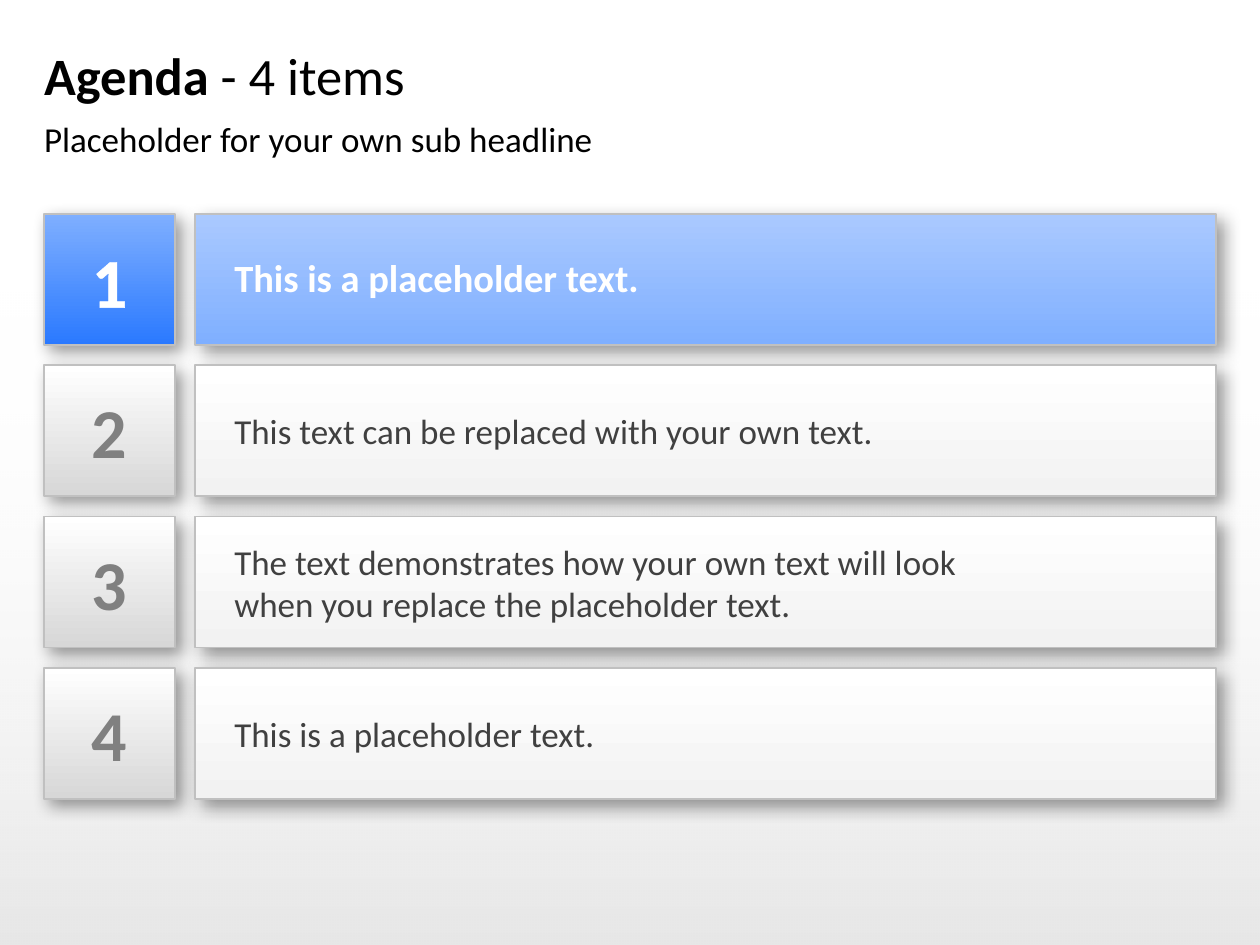
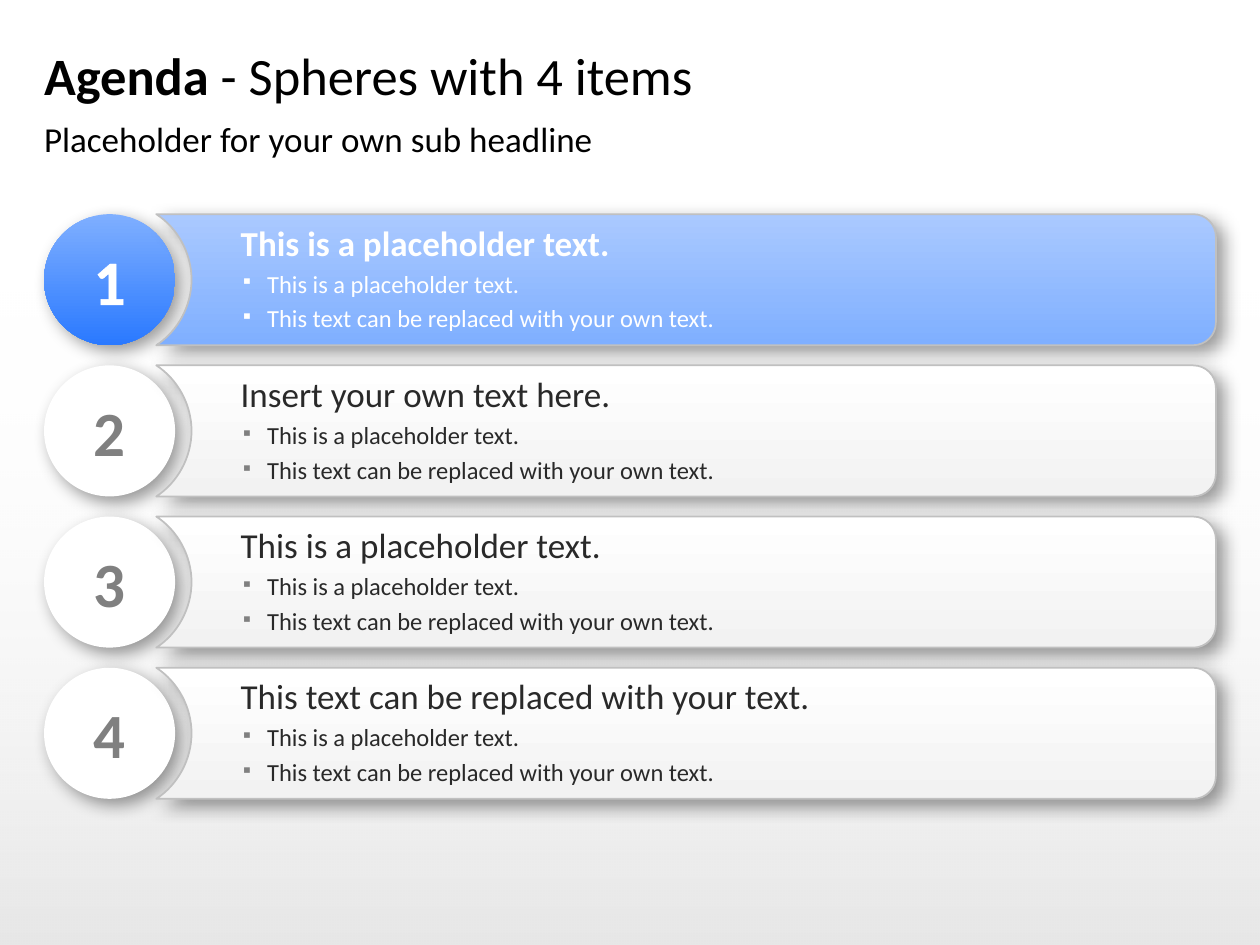
from lxml import etree
from pptx import Presentation
from pptx.dml.color import RGBColor
from pptx.enum.shapes import MSO_SHAPE
from pptx.enum.text import MSO_ANCHOR, PP_ALIGN
from pptx.oxml.ns import qn
from pptx.util import Inches, Pt

RECTANGLE = MSO_SHAPE.RECTANGLE
OVAL = MSO_SHAPE.OVAL
MIDDLE = MSO_ANCHOR.MIDDLE
CENTER = PP_ALIGN.CENTER
ALIGN_LEFT = PP_ALIGN.LEFT

FONT = "Calibri"
COLORS = {
    "black": "000000",
    "white": "FFFFFF",
    "border": "C0C0C0",
    "blue": "2A79FF",
    "mid_blue": "7FAFFF",
    "pale_blue": "AAC9FF",
    "silver": "D7D7D7",
    "mist": "F2F2F2",
    "number": "808080",
    "item": "404040",
    "heading": "292929",
}

LEFT, RIGHT = 0.35, 9.65
FIRST_TOP, ROW_STEP, ROW_HEIGHT = 1.7, 1.2, 1.04
BOX_BAR_LEFT, SPHERE_BAR_LEFT = 1.55, 1.24
CORNER, CORNER_PULL = 0.18, 0.08

SUB_HEADLINE = "Placeholder for your own sub headline"
BOX_ITEMS = [
    "This is a placeholder text.",
    "This text can be replaced with your own text.",
    "The text demonstrates how your own text will look \nwhen you replace the placeholder text.",
    "This is a placeholder text.",
]
SPHERE_ITEMS = [
    "This is a placeholder text.",
    "Insert your own text here.",
    "This is a placeholder text.",
    "This text can be replaced with your text.",
]
SPHERE_DETAILS = [
    "This is a placeholder text.",
    "This text can be replaced with your own text.",
]


def rgb(name):
    return RGBColor.from_string(COLORS[name])


def format_run(run, size, color, bold=False):
    run.font.name = FONT
    run.font.size = Pt(size)
    run.font.bold = bold
    run.font.color.rgb = rgb(color)


def write(paragraph, text, size, color, bold=False):
    paragraph.text = text
    for run in paragraph.runs:
        format_run(run, size, color, bold)


def prepare_frame(shape, left=0, top=0, right=0, bottom=0):
    frame = shape.text_frame
    frame.word_wrap = True
    frame.margin_left, frame.margin_top = Inches(left), Inches(top)
    frame.margin_right, frame.margin_bottom = Inches(right), Inches(bottom)
    return frame


def fill_gradient(shape, top_color, bottom_color):
    shape.fill.gradient()
    shape.fill.gradient_angle = 270
    for stop, color in zip(shape.fill.gradient_stops, (top_color, bottom_color)):
        stop.color.rgb = rgb(color)


def add_shadow(shape):
    shape.shadow.inherit = False
    effects = shape._element.spPr.find(qn("a:effectLst"))
    shadow = etree.SubElement(effects, qn("a:outerShdw"), blurRad=str(Pt(10)),
                              dist=str(Pt(5)), dir="2700000", algn="tl", rotWithShape="0")
    color = etree.SubElement(shadow, qn("a:srgbClr"), val=COLORS["black"])
    etree.SubElement(color, qn("a:alpha"), val="40000")


def add_border(shape):
    shape.line.color.rgb = rgb("border")
    shape.line.width = Pt(1)


def move_fade_to_master(deck, slide):
    fade = slide.shapes.add_shape(RECTANGLE, 0, Inches(2.21), Inches(10), Inches(5.29))
    fade.shadow.inherit = False
    fade.line.fill.background()
    fill_gradient(fade, "white", "black")
    stop_colors = list(fade._element.spPr.iter(qn("a:srgbClr")))
    for color, opacity in zip(stop_colors, ("0", "10000")):
        etree.SubElement(color, qn("a:alpha"), val=opacity)
    deck.slide_master.shapes._spTree.insert(2, fade._element)


def add_headlines(slide, topic):
    width = Inches(RIGHT - LEFT)
    title = slide.shapes.add_textbox(Inches(LEFT), Inches(0.26), width, Inches(0.67))
    frame = prepare_frame(title)
    frame.vertical_anchor = MIDDLE
    paragraph = frame.paragraphs[0]
    write(paragraph, "Agenda ", 30, "black", True)
    topic_run = paragraph.add_run()
    topic_run.text = topic
    format_run(topic_run, 30, "black")

    sub_headline = slide.shapes.add_textbox(Inches(LEFT), Inches(0.93), width, Inches(0.37))
    write(prepare_frame(sub_headline).paragraphs[0], SUB_HEADLINE, 20, "black")


def outline_text(run, color):
    properties = run._r.get_or_add_rPr()
    outline = etree.Element(qn("a:ln"), w=str(Pt(0.75)))
    fill = etree.SubElement(outline, qn("a:solidFill"))
    etree.SubElement(fill, qn("a:srgbClr"), val=COLORS[color])
    properties.insert(0, outline)


def add_number(slide, outline, number, top, size):
    active = number == 1
    badge = slide.shapes.add_shape(outline, Inches(LEFT), Inches(top),
                                   Inches(ROW_HEIGHT), Inches(ROW_HEIGHT))
    if active:
        fill_gradient(badge, "mid_blue", "blue")
    elif outline == OVAL:
        badge.fill.solid()
        badge.fill.fore_color.rgb = rgb("white")
    else:
        fill_gradient(badge, "white", "silver")
    if outline == OVAL:
        badge.line.fill.background()
    else:
        add_border(badge)
    add_shadow(badge)
    frame = prepare_frame(badge)
    frame.vertical_anchor = MIDDLE
    paragraph = frame.paragraphs[0]
    paragraph.alignment = CENTER
    write(paragraph, str(number), size, "white" if active else "number", True)
    if active:
        outline_text(paragraph.runs[0], "white")


def style_bar(bar, active):
    if active:
        fill_gradient(bar, "pale_blue", "mid_blue")
    else:
        fill_gradient(bar, "white", "mist")
    add_border(bar)
    add_shadow(bar)


def add_box_bar(slide, text, top, active):
    bar = slide.shapes.add_shape(RECTANGLE, Inches(BOX_BAR_LEFT), Inches(top),
                                 Inches(RIGHT - BOX_BAR_LEFT), Inches(ROW_HEIGHT))
    style_bar(bar, active)
    margins = (0.31, 0, 0, 0) if active else (0.31, 0.04, 0.24, 0.04)
    frame = prepare_frame(bar, *margins)
    frame.vertical_anchor = MIDDLE
    paragraph = frame.paragraphs[0]
    paragraph.alignment = ALIGN_LEFT
    if active:
        paragraph.line_spacing = 0.9
        write(paragraph, text, 22, "white", True)
    else:
        write(paragraph, text, 20, "item")


def sphere_bar_segments():
    width, height, middle = RIGHT - SPHERE_BAR_LEFT, ROW_HEIGHT, ROW_HEIGHT / 2
    inner, pull = width - CORNER, width - CORNER_PULL
    notch, notch_pull = 0.28, 0.17
    return [
        [(inner, 0)],
        [(pull, 0), (width, CORNER_PULL), (width, CORNER)],
        [(width, height - CORNER)],
        [(width, height - CORNER_PULL), (pull, height), (inner, height)],
        [(0, height)],
        [(notch_pull, height - 0.11), (notch, middle + 0.21), (notch, middle)],
        [(notch, middle - 0.21), (notch_pull, 0.11), (0, 0)],
    ]


def build_sphere_bar(slide, top):
    segments = sphere_bar_segments()
    builder = slide.shapes.build_freeform(0, 0, scale=1.0)
    builder.add_line_segments([(Inches(x), Inches(y)) for x, y in
                               (segment[-1] for segment in segments)])
    bar = builder.convert_to_shape(Inches(SPHERE_BAR_LEFT), Inches(top))
    straight_lines = list(bar._element.spPr.iter(qn("a:lnTo")))
    for line, segment in zip(straight_lines, segments):
        if len(segment) == 3:
            curve = etree.Element(qn("a:cubicBezTo"))
            for x, y in segment:
                etree.SubElement(curve, qn("a:pt"), x=str(Inches(x)), y=str(Inches(y)))
            line.getparent().replace(line, curve)
    return bar


def add_bullet(paragraph, color):
    properties = paragraph._p.get_or_add_pPr()
    properties.set("marL", str(Inches(0.21)))
    properties.set("indent", str(-Inches(0.21)))
    bullet_color = etree.SubElement(properties, qn("a:buClr"))
    etree.SubElement(bullet_color, qn("a:srgbClr"), val=COLORS[color])
    etree.SubElement(properties, qn("a:buSzPct"), val="70000")
    etree.SubElement(properties, qn("a:buChar"), char="▪")


def add_sphere_bar(slide, heading, top, active):
    bar = build_sphere_bar(slide, top)
    style_bar(bar, active)
    frame = prepare_frame(bar, left=0.67)
    frame.vertical_anchor = MIDDLE
    text_color = "white" if active else "heading"
    paragraph = frame.paragraphs[0]
    paragraph.alignment = ALIGN_LEFT
    paragraph.line_spacing = 0.9
    paragraph.space_after = Pt(4)
    write(paragraph, heading, 20, text_color, active)
    for detail in SPHERE_DETAILS:
        paragraph = frame.add_paragraph()
        add_bullet(paragraph, "white" if active else "number")
        paragraph.alignment = ALIGN_LEFT
        paragraph.line_spacing = 0.95
        paragraph.space_after = Pt(4)
        write(paragraph, detail, 14, text_color)


def add_agenda(deck, topic, items, outline, number_size, add_bar):
    slide = deck.slides.add_slide(deck.slide_layouts[6])
    add_headlines(slide, topic)
    for index, item in enumerate(items):
        top = FIRST_TOP + index * ROW_STEP
        add_number(slide, outline, index + 1, top, number_size)
        add_bar(slide, item, top, index == 0)
    return slide


def main():
    deck = Presentation()
    deck.slide_width, deck.slide_height = Inches(10), Inches(7.5)
    boxes = add_agenda(deck, "- 4 items", BOX_ITEMS, RECTANGLE, 40, add_box_bar)
    add_agenda(deck, "- Spheres with 4 items", SPHERE_ITEMS, OVAL, 36, add_sphere_bar)
    move_fade_to_master(deck, boxes)
    deck.save("out.pptx")


if __name__ == "__main__":
    main()
